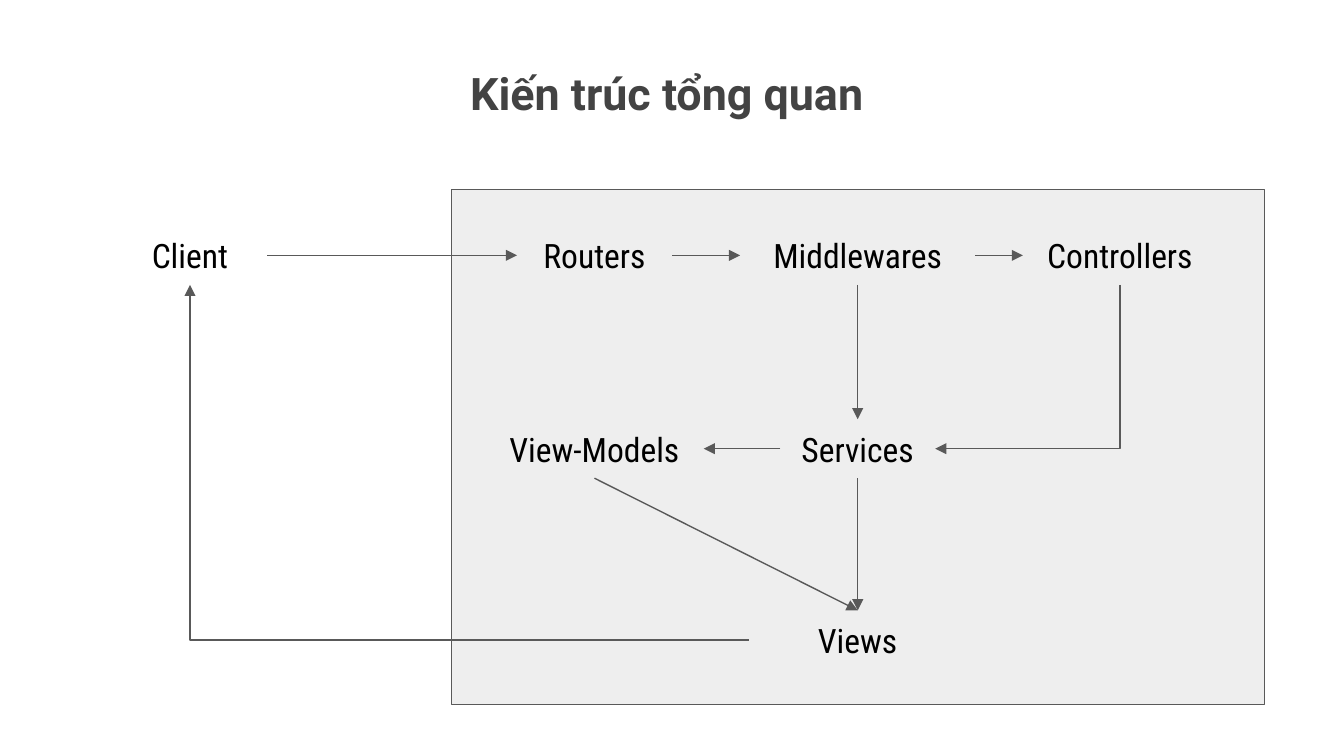
"""Build the architecture overview slide."""
from lxml import etree
from pptx import Presentation
from pptx.dml.color import RGBColor
from pptx.enum.shapes import MSO_CONNECTOR, MSO_SHAPE
from pptx.enum.text import MSO_ANCHOR, PP_ALIGN
from pptx.oxml.ns import qn
from pptx.util import Pt

STRAIGHT, ELBOW = MSO_CONNECTOR.STRAIGHT, MSO_CONNECTOR.ELBOW
RECTANGLE = MSO_SHAPE.RECTANGLE
TOP, MIDDLE = MSO_ANCHOR.TOP, MSO_ANCHOR.MIDDLE
CENTER = PP_ALIGN.CENTER

BLACK = RGBColor(0x00, 0x00, 0x00)
DARK = RGBColor(0x43, 0x43, 0x43)
LINE = RGBColor(0x59, 0x59, 0x59)
PANEL = RGBColor(0xEE, 0xEE, 0xEE)

NODE_H = 31.6
COLS = (101.8, 318.5, 459.5, 600)
ROWS = (136.8, 240.4, 342.8)
NODES = {
    "Client": (0, 0, 83),
    "Routers": (1, 0, 83),
    "Middlewares": (2, 0, 126),
    "Controllers": (3, 0, 104),
    "View-Models": (1, 1, 117),
    "Services": (2, 1, 83),
    "Views": (2, 2, 117),
}
SIDES = {"left": (-0.5, 0), "right": (0.5, 0), "top": (0, -0.5), "bottom": (0, 0.5)}
ARROWS = [
    ("Client", "right", "Routers", "left", None),
    ("Routers", "right", "Middlewares", "left", None),
    ("Middlewares", "right", "Controllers", "left", None),
    ("Middlewares", "bottom", "Services", "top", None),
    ("Services", "left", "View-Models", "right", None),
    ("Services", "bottom", "Views", "top", None),
    ("View-Models", "bottom", "Views", "top", None),
    ("Controllers", "bottom", "Services", "right", 90),
    ("Views", "left", "Client", "bottom", 180),
]


def add_text(s, text, x, y, w, h, size=18, font="Roboto Condensed", color=BLACK,
             bold=False, anchor=MIDDLE):
    sp = s.shapes.add_textbox(Pt(x), Pt(y), Pt(w), Pt(h))
    tf = sp.text_frame
    tf.word_wrap = True
    tf.vertical_anchor = anchor
    tf.margin_left = tf.margin_right = tf.margin_top = tf.margin_bottom = Pt(7.2)
    p = tf.paragraphs[0]
    p.alignment = CENTER
    r = p.add_run()
    r.text = text
    r.font.size = Pt(size)
    r.font.name = font
    r.font.bold = bold
    r.font.color.rgb = color


def port(name, side):
    col, row, w = NODES[name]
    dx, dy = SIDES[side]
    return COLS[col] + dx * w, ROWS[row] + dy * NODE_H


prs = Presentation()
prs.slide_width, prs.slide_height = Pt(720), Pt(405)
s = prs.slides.add_slide(prs.slide_layouts[6])

add_text(s, "Kiến trúc tổng quan", 152, 28, 410.4, 74, size=24, font="Roboto",
         color=DARK, bold=True, anchor=TOP)

panel = s.shapes.add_shape(RECTANGLE, Pt(242), Pt(101.5), Pt(435.5), Pt(275.8))
panel.shadow.inherit = False
panel.fill.solid()
panel.fill.fore_color.rgb = PANEL
panel.line.color.rgb = LINE
panel.line.width = Pt(0.75)

for name, (col, row, w) in NODES.items():
    add_text(s, name, COLS[col] - w / 2, ROWS[row] - NODE_H / 2, w, NODE_H)

for start, start_side, end, end_side, turn in ARROWS:
    x1, y1 = port(start, start_side)
    x2, y2 = port(end, end_side)
    if turn:
        cx, cy = (x1 + x2) / 2, (y1 + y2) / 2
        w, h = abs(x2 - x1), abs(y2 - y1)
        if turn == 90:
            w, h = h, w
        x1, y1, x2, y2 = cx - w / 2, cy - h / 2, cx + w / 2, cy + h / 2
    arrow = s.shapes.add_connector(ELBOW if turn else STRAIGHT,
                                   Pt(x1), Pt(y1), Pt(x2), Pt(y2))
    arrow.line.color.rgb = LINE
    arrow.line.width = Pt(0.75)
    props = arrow._element.spPr
    if turn:
        props.find(qn("a:xfrm")).set("rot", str(turn * 60000))
        props.find(qn("a:prstGeom")).set("prst", "bentConnector2")
    etree.SubElement(props.find(qn("a:ln")), qn("a:tailEnd"), type="triangle")
    etree.SubElement(props, qn("a:effectLst"))

prs.save("out.pptx")
